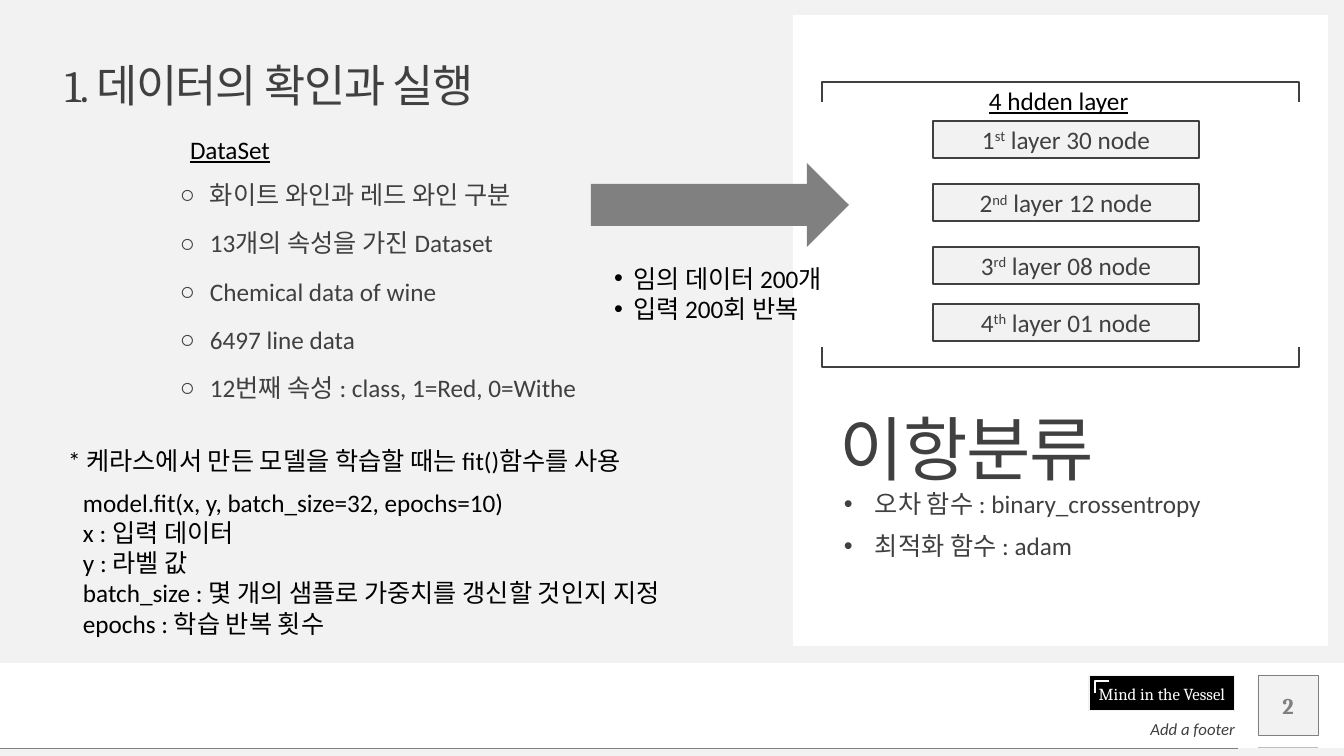
from dataclasses import dataclass

from lxml.etree import SubElement
from pptx import Presentation
from pptx.dml.color import RGBColor
from pptx.enum.shapes import MSO_CONNECTOR, MSO_SHAPE
from pptx.enum.text import MSO_ANCHOR, PP_ALIGN
from pptx.oxml.ns import qn
from pptx.util import Emu, Pt

EMU_PER_PX = 914400 / 100.8
DEFAULT_INSETS = (10, 5, 10, 5)
NO_INSETS = (0, 0, 0, 0)


@dataclass(frozen=True)
class Theme:
    body_font: str = "Calibri"
    head_font: str = "Cambria"
    ink: str = "404040"
    black: str = "000000"
    white: str = "FFFFFF"
    panel: str = "F2F2F2"
    grey: str = "808080"
    rule: str = "BFBFBF"
    small: int = 12
    number: int = 16
    body: int = 18
    title: int = 32
    headline: int = 50


THEME = Theme()


def px(length):
    return Emu(round(length * EMU_PER_PX))


def set_outline(shape, color, width):
    if color:
        shape.line.color.rgb = RGBColor.from_string(color)
        shape.line.width = Pt(width)
    else:
        shape.line.fill.background()


def add_block(slide, box, fill, outline=None, width=1, preset=MSO_SHAPE.RECTANGLE):
    block = slide.shapes.add_shape(preset, *map(px, box))
    block.shadow.inherit = False
    block.fill.solid()
    block.fill.fore_color.rgb = RGBColor.from_string(fill)
    set_outline(block, outline, width)
    return block


def add_open_path(slide, points, color, width):
    builder = slide.shapes.build_freeform(*points[0], scale=EMU_PER_PX)
    builder.add_line_segments(points[1:], close=False)
    path = builder.convert_to_shape()
    path.shadow.inherit = False
    path.fill.background()
    set_outline(path, color, width)


def add_rule(slide, left, right, y, color, width):
    rule = slide.shapes.add_connector(
        MSO_CONNECTOR.STRAIGHT, px(left), px(y), px(right), px(y))
    set_outline(rule, color, width)
    SubElement(rule._element.spPr, qn("a:effectLst"))


def set_bullet(paragraph, bullet, indent, color):
    properties = paragraph._p.get_or_add_pPr()
    properties.set("marL", str(px(indent)))
    properties.set("indent", str(-px(indent)))
    bullet_color = SubElement(properties, qn("a:buClr"))
    SubElement(bullet_color, qn("a:srgbClr")).set("val", color)
    SubElement(properties, qn("a:buFont")).set("typeface", "Arial")
    SubElement(properties, qn("a:buChar")).set("char", bullet)


def add_run(paragraph, text, size, color, font=THEME.body_font, bold=False,
            italic=False, underline=False, raised=False, tracking=0):
    """Append one run; tracking is in hundredths of a point."""
    run = paragraph.add_run()
    run.text = text
    run.font.size = Pt(size)
    run.font.name = font
    run.font.color.rgb = RGBColor.from_string(color)
    run.font.bold, run.font.italic, run.font.underline = bold, italic, underline
    properties = run._r.get_or_add_rPr()
    if raised:
        properties.set("baseline", "30000")
    if tracking:
        properties.set("spc", str(tracking))


def write(shape, lines, size=THEME.body, color=THEME.black, insets=DEFAULT_INSETS,
          anchor=MSO_ANCHOR.TOP, align=PP_ALIGN.LEFT, wrap=True, spacing=None,
          before=0, after=0, bullet=None, indent=0, **style):
    """Fill a shape; each line is a list of (text, raised) runs or a string."""
    frame = shape.text_frame
    frame.word_wrap = wrap
    frame.vertical_anchor = anchor
    (frame.margin_left, frame.margin_top,
     frame.margin_right, frame.margin_bottom) = map(px, insets)
    for index, line in enumerate(lines):
        paragraph = frame.add_paragraph() if index else frame.paragraphs[0]
        paragraph.alignment = align
        paragraph.line_spacing = spacing
        paragraph.space_before, paragraph.space_after = Pt(before), Pt(after)
        if bullet:
            set_bullet(paragraph, bullet, indent, color)
        runs = [(line, False)] if isinstance(line, str) else line
        for text, raised in runs:
            add_run(paragraph, text, size, color, raised=raised, **style)


def add_text(slide, box, lines, **style):
    write(slide.shapes.add_textbox(*map(px, box)), lines, **style)


def add_frame(slide):
    add_block(slide, (1258, 675, 60, 60), THEME.panel, THEME.grey, 0.25)
    add_block(slide, (0, 748, 1344, 8), THEME.panel)
    add_rule(slide, 1258, 1318, 747, THEME.rule, 0.5)
    add_rule(slide, 0, 1238, 748, THEME.grey, 0.25)
    badge = add_block(slide, (1089, 676, 146, 35), THEME.black, THEME.panel, 0.75)
    write(badge, ["Mind in the Vessel"], size=THEME.small, color=THEME.white,
          font=THEME.head_font, anchor=MSO_ANCHOR.MIDDLE, align=PP_ALIGN.CENTER,
          wrap=False)
    add_open_path(slide, [(1109, 681), (1095, 681), (1095, 693)], THEME.white, 2)
    add_block(slide, (0, 0, 1344, 663), THEME.panel)
    add_text(slide, (781, 716, 454, 23), ["Add a footer"], size=THEME.small,
             color=THEME.ink, insets=NO_INSETS, anchor=MSO_ANCHOR.BOTTOM,
             align=PP_ALIGN.RIGHT, italic=True)
    add_text(slide, (1258, 686, 60, 40), ["2"], size=THEME.number, color=THEME.grey,
             font=THEME.head_font, insets=NO_INSETS, anchor=MSO_ANCHOR.MIDDLE,
             align=PP_ALIGN.CENTER, bold=True)


def add_model_panel(slide):
    panel = add_block(slide, (793, 15, 535, 631), THEME.white)
    write(panel, ["이항분류"], size=THEME.headline, color=THEME.ink,
          font=THEME.head_font, insets=(47, 8, 31, 155), anchor=MSO_ANCHOR.BOTTOM,
          spacing=0.9, tracking=-100)
    add_text(slide, (844, 492, 433, 124),
             ["오차 함수 : binary_crossentropy", "최적화 함수 : adam"],
             color=THEME.ink, insets=NO_INSETS, spacing=0.9, before=10,
             bullet="•", indent=31)
    for edge, tip in ((367, 347), (82, 102)):
        add_open_path(slide, [(1299, tip), (1299, edge), (822, edge), (822, tip)],
                      THEME.ink, 1)
    layers = ((121, "1", "st", "30"), (184, "2", "nd", "12"),
              (247, "3", "rd", "08"), (304, "4", "th", "01"))
    for top, rank, suffix, nodes in layers:
        layer = add_block(slide, (933, top, 266, 37), THEME.panel, THEME.ink)
        write(layer, [[(rank, False), (suffix, True), (f" layer {nodes} node", False)]],
              color=THEME.ink, anchor=MSO_ANCHOR.MIDDLE, align=PP_ALIGN.CENTER)
    add_text(slide, (979, 80, 161, 40), ["4 hdden layer"], wrap=False, after=15,
             underline=True)


def add_dataset(slide):
    add_text(slide, (180, 183, 457, 207),
             ["화이트 와인과 레드 와인 구분", "13개의 속성을 가진 Dataset",
              "Chemical data of wine", "6497 line data",
              "12번째 속성 : class, 1=Red, 0=Withe"],
             color=THEME.ink, insets=NO_INSETS, spacing=0.9, after=15,
             bullet="○", indent=30)
    add_text(slide, (180, 129, 103, 40), ["DataSet"], after=15, underline=True)
    add_block(slide, (591, 163, 258, 84), THEME.grey, preset=MSO_SHAPE.RIGHT_ARROW)
    add_text(slide, (604, 258, 258, 72), ["임의 데이터 200개", "입력 200회 반복"],
             bullet="•", indent=19)


def add_fit_notes(slide):
    add_text(slide, (58, 440, 615, 40),
             ["* 케라스에서 만든 모델을 학습할 때는 fit()함수를 사용"], wrap=False)
    add_text(slide, (73, 482, 668, 163),
             ["model.fit(x, y, batch_size=32, epochs=10)", "x : 입력 데이터",
              "y : 라벨 값", "batch_size : 몇 개의 샘플로 가중치를 갱신할 것인지 지정",
              "epochs : 학습 반복 횟수"])


def main():
    deck = Presentation()
    deck.slide_width, deck.slide_height = px(1344), px(756)
    slide = deck.slides.add_slide(deck.slide_layouts[6])
    add_frame(slide)
    add_model_panel(slide)
    add_dataset(slide)
    add_text(slide, (65, 65, 1250, 47), ["1. 데이터의 확인과 실행"], size=THEME.title,
             color=THEME.ink, font=THEME.head_font, insets=NO_INSETS,
             anchor=MSO_ANCHOR.MIDDLE, spacing=0.9, tracking=-100)
    add_fit_notes(slide)
    deck.save("out.pptx")


if __name__ == "__main__":
    main()
